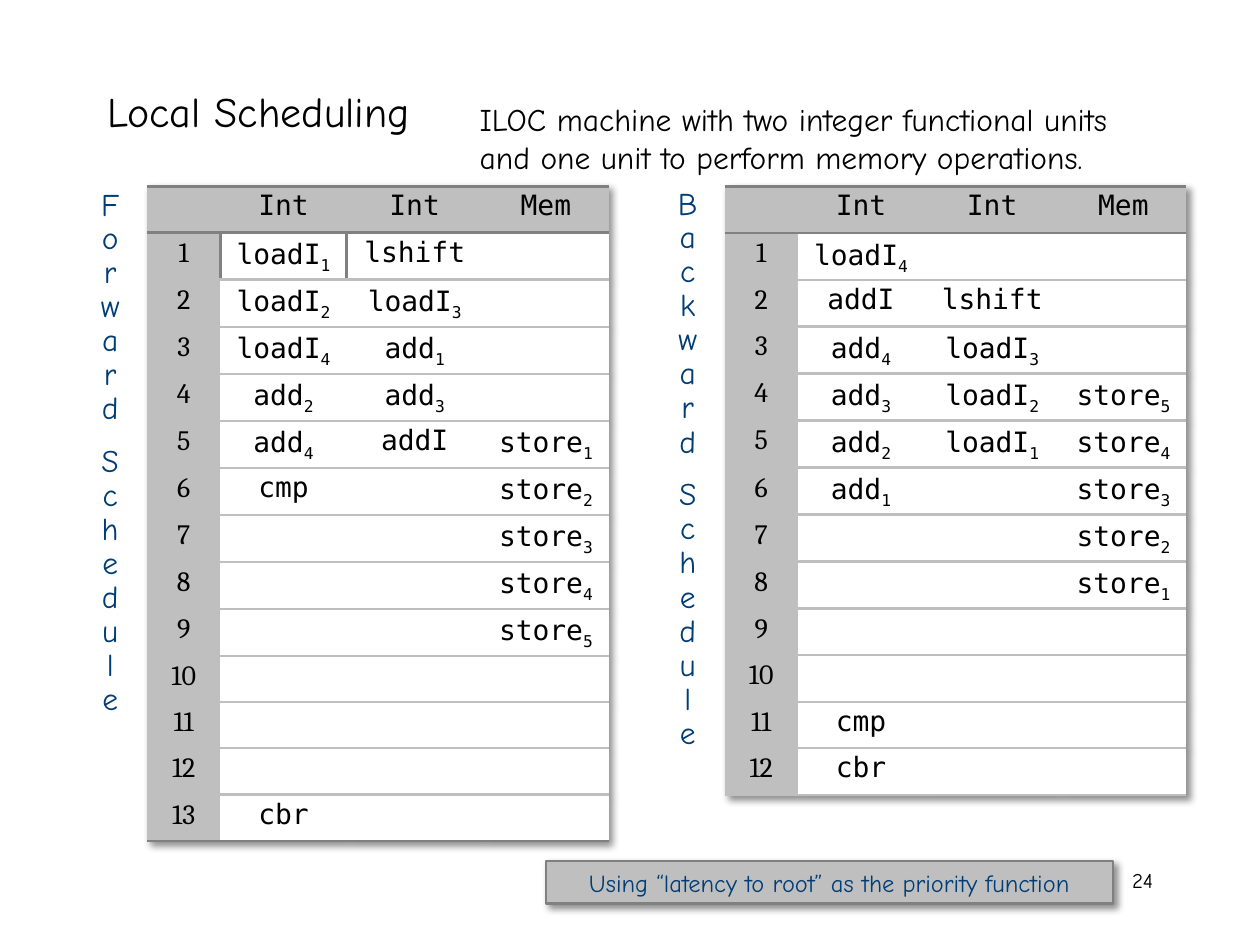
import lxml.etree
import pptx
import pptx.dml.color
import pptx.enum.shapes
import pptx.enum.text
import pptx.oxml.ns
import pptx.util

Pt = pptx.util.Pt
qn = pptx.oxml.ns.qn
ALIGN = pptx.enum.text.PP_ALIGN
ANCHOR = pptx.enum.text.MSO_ANCHOR

COLORS = {
    "ink": "000000",
    "label": "003C75",
    "band": "BFBFBF",
    "edge": "808080",
    "cell": "FFFFFF",
}
UNITS = ["", "Int", "Int", "Mem"]
COLUMN_WIDTHS = [42, 72, 78, 72]
PLAIN_TABLE = "{2D5ABB26-0587-4C30-8999-92F81FD0307C}"

FORWARD = [
    ["loadI_1", "lshift", ""],
    ["loadI_2", "loadI_3", ""],
    ["loadI_4", "add_1", ""],
    ["add_2", "add_3", ""],
    ["add_4", "addI", "store_1"],
    ["cmp", "", "store_2"],
    ["", "", "store_3"],
    ["", "", "store_4"],
    ["", "", "store_5"],
    ["", "", ""],
    ["", "", ""],
    ["", "", ""],
    ["cbr", "", ""],
]
BACKWARD = [
    ["loadI_4", "", ""],
    ["addI", "lshift", ""],
    ["add_4", "loadI_3", ""],
    ["add_3", "loadI_2", "store_5"],
    ["add_2", "loadI_1", "store_4"],
    ["add_1", "", "store_3"],
    ["", "", "store_2"],
    ["", "", "store_1"],
    ["", "", ""],
    ["", "", ""],
    ["cmp", "", ""],
    ["cbr", "", ""],
]


class ScheduleSlide:
    body_font = "Comic Neue"
    code_font = "DejaVu Sans Mono"
    step_font = "Cambria"

    def __init__(self, deck):
        self.slide = deck.slides.add_slide(deck.slide_layouts[5])

    def color(self, name):
        return pptx.dml.color.RGBColor.from_string(COLORS[name])

    def format_run(self, run, size, color="ink", font=None):
        run.font.name = font or self.body_font
        run.font.size = Pt(size)
        run.font.color.rgb = self.color(color)

    def format_text(self, frame, text, size, color="ink", align=ALIGN.LEFT):
        frame.text = text
        frame.word_wrap = True
        for paragraph in frame.paragraphs:
            paragraph.alignment = align
            for run in paragraph.runs:
                self.format_run(run, size, color)

    def title(self, text, left, top, width, height):
        heading = self.slide.shapes.title
        heading.left, heading.top = Pt(left), Pt(top)
        heading.width, heading.height = Pt(width), Pt(height)
        self.format_text(heading.text_frame, text, 24)
        heading.text_frame.vertical_anchor = ANCHOR.MIDDLE

    def text(self, text, left, top, width, height, size, color="ink", align=ALIGN.LEFT):
        box = self.slide.shapes.add_textbox(Pt(left), Pt(top), Pt(width), Pt(height))
        self.format_text(box.text_frame, text, size, color, align)
        return box.text_frame

    def vertical_label(self, words, left, top, width, height):
        letters = "\n".join("".join(words))
        frame = self.text(letters, left, top, width, height, 18, "label", ALIGN.CENTER)
        for paragraph in frame.paragraphs[1:]:
            paragraph.line_spacing = 0.9
        frame.paragraphs[len(words[0])].space_before = Pt(10.8)

    def add_shadow(self, properties, position):
        effects = lxml.etree.Element(qn("a:effectLst"))
        shadow = lxml.etree.SubElement(
            effects, qn("a:outerShdw"), blurRad=str(Pt(4)), dist=str(Pt(3)),
            dir="2700000", algn="tl", rotWithShape="0")
        black = lxml.etree.SubElement(shadow, qn("a:srgbClr"), val=COLORS["ink"])
        lxml.etree.SubElement(black, qn("a:alpha"), val="43000")
        properties.insert(position, effects)

    def callout(self, text, left, top, width, height):
        banner = self.slide.shapes.add_shape(
            pptx.enum.shapes.MSO_SHAPE.RECTANGLE, Pt(left), Pt(top), Pt(width), Pt(height))
        banner.fill.solid()
        banner.fill.fore_color.rgb = self.color("band")
        banner.line.color.rgb = self.color("edge")
        banner.line.width = Pt(1.5)
        properties = banner._element.spPr
        self.add_shadow(properties, len(properties))
        self.format_text(banner.text_frame, text, 14, "label", ALIGN.CENTER)
        banner.text_frame.vertical_anchor = ANCHOR.MIDDLE

    def borders(self, cell, sides):
        properties = cell._tc.get_or_add_tcPr()
        for position, (side, color) in enumerate(sides.items()):
            line = lxml.etree.Element(qn("a:" + side), w=str(Pt(1.5)))
            fill = lxml.etree.SubElement(line, qn("a:solidFill"))
            lxml.etree.SubElement(fill, qn("a:srgbClr"), val=COLORS[color])
            properties.insert(position, line)

    def cell(self, cell, text, fill, font):
        cell.fill.solid()
        cell.fill.fore_color.rgb = self.color(fill)
        paragraph = cell.text_frame.paragraphs[0]
        paragraph.alignment = ALIGN.CENTER
        paragraph.line_spacing = 0.9
        if not text:
            lxml.etree.SubElement(paragraph._p, qn("a:endParaRPr"), sz="1600")
            return
        operation, _, index = text.partition("_")
        paragraph.text = operation
        if index:
            subscript = paragraph.add_run()
            subscript.text = index
            subscript._r.get_or_add_rPr().set("baseline", "-25000")
        for run in paragraph.runs:
            self.format_run(run, 16, font=font)

    def schedule(self, cycles, left, top, row_height, last_edge, first_divider=False):
        rows = [UNITS] + [[str(n), *ops] for n, ops in enumerate(cycles, 1)]
        frame = self.slide.shapes.add_table(
            len(rows), len(UNITS), Pt(left), Pt(top),
            Pt(sum(COLUMN_WIDTHS)), Pt(row_height * len(rows)))
        table = frame.table
        table.first_row = table.horz_banding = False
        properties = table._tbl.tblPr
        properties.find(qn("a:tableStyleId")).text = PLAIN_TABLE
        self.add_shadow(properties, 0)
        for column, width in zip(table.columns, COLUMN_WIDTHS):
            column.width = Pt(width)
        for r, row in enumerate(rows):
            table.rows[r].height = Pt(row_height)
            for c, text in enumerate(row):
                cell = table.cell(r, c)
                fill = "band" if r == 0 or c == 0 else "cell"
                font = self.step_font if r and c == 0 else self.code_font
                self.cell(cell, text, fill, font)
                sides = {"lnL": "edge"} if first_divider and (r, c) == (1, 1) else {}
                sides["lnT"] = "edge" if r < 2 else "band"
                bottom = last_edge if r == len(rows) - 1 else "band"
                sides["lnB"] = "edge" if r == 0 else bottom
                self.borders(cell, sides)


def main():
    deck = pptx.Presentation()
    deck.slide_width, deck.slide_height = Pt(720), Pt(540)
    page = ScheduleSlide(deck)
    page.text("24", 516, 492, 150, 36, 12, align=ALIGN.RIGHT)
    page.title("Local Scheduling", 54, 42, 612, 42)
    page.schedule(FORWARD, 84, 106.5, 25.8, "edge", first_divider=True)
    page.vertical_label(["Forward", "Schedule"], 48, 102, 30, 312.5)
    page.schedule(BACKWARD, 414, 106.5, 26.6, "band")
    page.vertical_label(["Backward", "Schedule"], 378, 101.5, 30, 332)
    page.callout("Using “latency to root” as the priority function", 312, 492, 324, 24.5)
    page.text("ILOC machine with two integer functional units\n"
              "and one unit to perform memory operations.", 267, 53.5, 414, 51, 18)
    deck.save("out.pptx")


if __name__ == "__main__":
    main()
